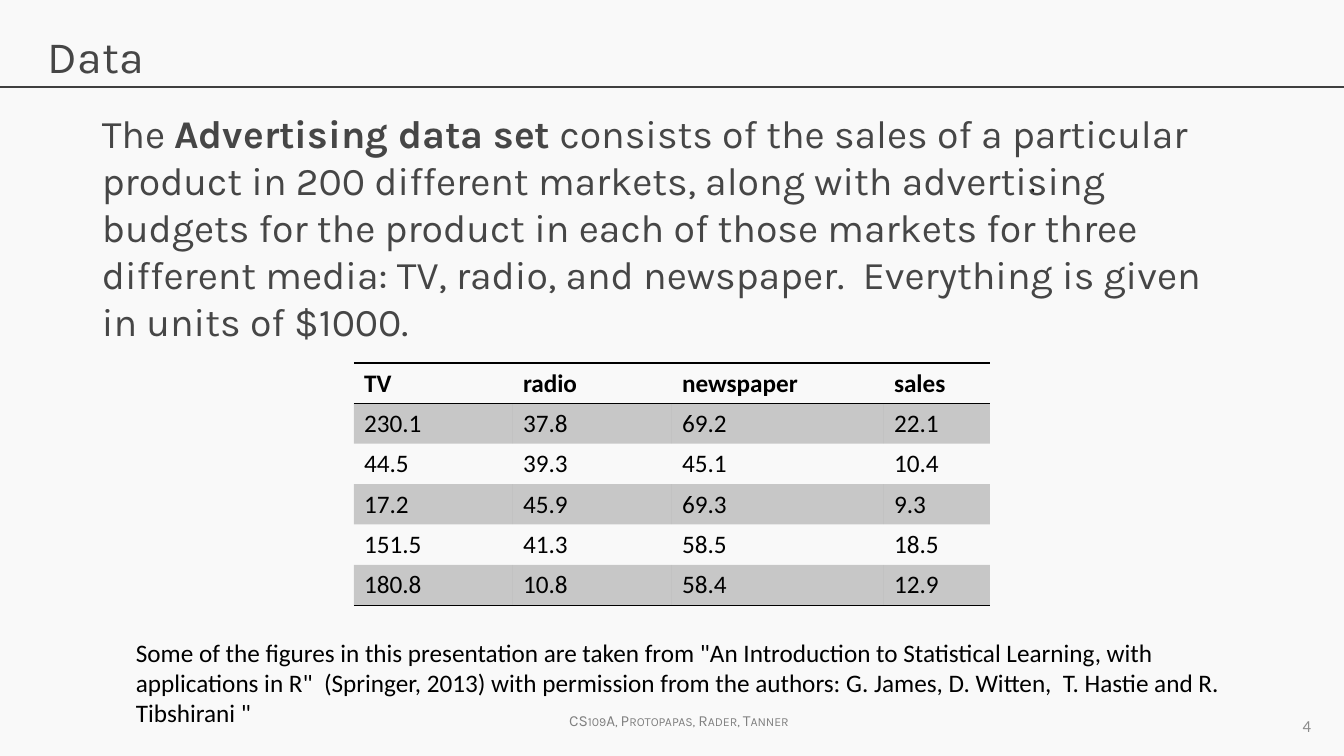
from lxml import etree
from pptx import Presentation
from pptx import util as u
from pptx.dml.color import RGBColor
from pptx.enum import shapes, text
from pptx.oxml.ns import qn

PX = 914400 / 100.8
COLORS = {
    "page": "F9F9F9", "rule": "404040", "heading": "464646",
    "black": "000000", "footer": "808080", "number": "8C8C8C",
}


def px(n):
    return u.Emu(round(n * PX))


def add_text(box, parts, font, size, color, align=text.PP_ALIGN.LEFT, wrap=True):
    """Add a text box; parts are (words, bold) pairs. Return its frame."""
    frame = slide.shapes.add_textbox(*map(px, box)).text_frame
    frame.word_wrap = wrap
    paragraph = frame.paragraphs[0]
    paragraph.alignment = align
    for words, bold in parts:
        run = paragraph.add_run()
        run.text = words
        run.font.name, run.font.size, run.font.bold = font, u.Pt(size), bold
        run.font.color.rgb = RGBColor.from_string(COLORS[color])
    return frame


prs = Presentation()
prs.slide_width, prs.slide_height = px(1344), px(756)
slide = prs.slides.add_slide(prs.slide_layouts[6])
slide.background.fill.solid()
slide.background.fill.fore_color.rgb = RGBColor.from_string(COLORS["page"])

# Rule under the title
rule = slide.shapes.add_connector(
    shapes.MSO_CONNECTOR.STRAIGHT, px(0), px(87), px(1344), px(87))
rule.line.color.rgb = RGBColor.from_string(COLORS["rule"])
rule.line.width = u.Pt(0.75)
etree.SubElement(rule._element.spPr, qn("a:effectLst"))

# Course footer in small capitals
footer = add_text((553, 706, 252, 29), [("CS109A, Protopapas, Rader, Tanner", False)],
                  "Karla", 11, "footer", text.PP_ALIGN.CENTER, wrap=False)
footer.paragraphs[0].runs[0].font._element.set("cap", "small")

# Title
add_text((38, 24, 1267, 85), [("Data", False)], "Karla", 32, "heading")

# Advertising table
rows = [
    ("TV", "radio", "newspaper", "sales"),
    ("230.1", "37.8", "69.2", "22.1"),
    ("44.5", "39.3", "45.1", "10.4"),
    ("17.2", "45.9", "69.3", "9.3"),
    ("151.5", "41.3", "58.5", "18.5"),
    ("180.8", "10.8", "58.4", "12.9"),
]
widths = [159, 159, 212, 106]
advertising = slide.shapes.add_table(
    len(rows), len(widths), px(354), px(363), px(sum(widths)), px(40 * len(rows))).table
advertising.first_row = advertising.horz_banding = False
# Plain style without grid
advertising._tbl.tblPr.find(qn("a:tableStyleId")).text = "{2D5ABB26-0587-4C30-8999-92F81FD0307C}"
for column, width in zip(advertising.columns, widths):
    column.width = px(width)

borders = {0: ("a:lnT", "a:lnB"), len(rows) - 1: ("a:lnB",)}
for r, values in enumerate(rows):
    for c, value in enumerate(values):
        cell = advertising.cell(r, c)
        cell.text_frame.text = value
        font = cell.text_frame.paragraphs[0].runs[0].font
        font.name, font.size, font.bold = "Calibri", u.Pt(18), r == 0
        font.color.rgb = RGBColor.from_string(COLORS["black"])
        props = cell._tc.get_or_add_tcPr()
        for side in borders.get(r, ()):
            edge = etree.SubElement(props, qn(side), w=str(u.Pt(1)))
            paint = etree.SubElement(edge, qn("a:solidFill"))
            etree.SubElement(paint, qn("a:srgbClr"), val=COLORS["black"])
        if r % 2:
            cell.fill.solid()
            cell.fill.fore_color.rgb = RGBColor.from_string(COLORS["black"])
            tint = props.find(qn("a:solidFill")).find(qn("a:srgbClr"))
            etree.SubElement(tint, qn("a:alpha"), val="20000")
        else:
            cell.fill.background()

# Slide number
number = add_text((1008, 706, 313, 40), [("4", False)],
                  "Calibri", 12, "number", text.PP_ALIGN.RIGHT)
number.vertical_anchor = text.MSO_ANCHOR.MIDDLE

# Loose comma over the second line of the description
add_text((1020, 161, 25, 72), [(",", False)], "Karla", 18, "black",
         text.PP_ALIGN.CENTER, wrap=False)

# Description of the data set
add_text((92, 104, 1138, 233), [
    ("The ", False),
    ("Advertising data set", True),
    (" consists of the sales of a particular product in 200 different markets, "
     "along with advertising budgets for the product in each of those markets "
     "for three different media: TV, radio, and newspaper.  Everything is given "
     "in units of $1000.", False),
], "Karla", 28, "heading")

# Credit for the figures
add_text((126, 632, 1155, 132), [
    ('Some of the figures in this presentation are taken from "An Introduction to '
     'Statistical Learning, with applications in R"  (Springer, 2013) with permission '
     'from the authors: G. James, D. Witten,  T. Hastie and R. Tibshirani "', False),
], "Calibri", 18, "black")

prs.save("out.pptx")
